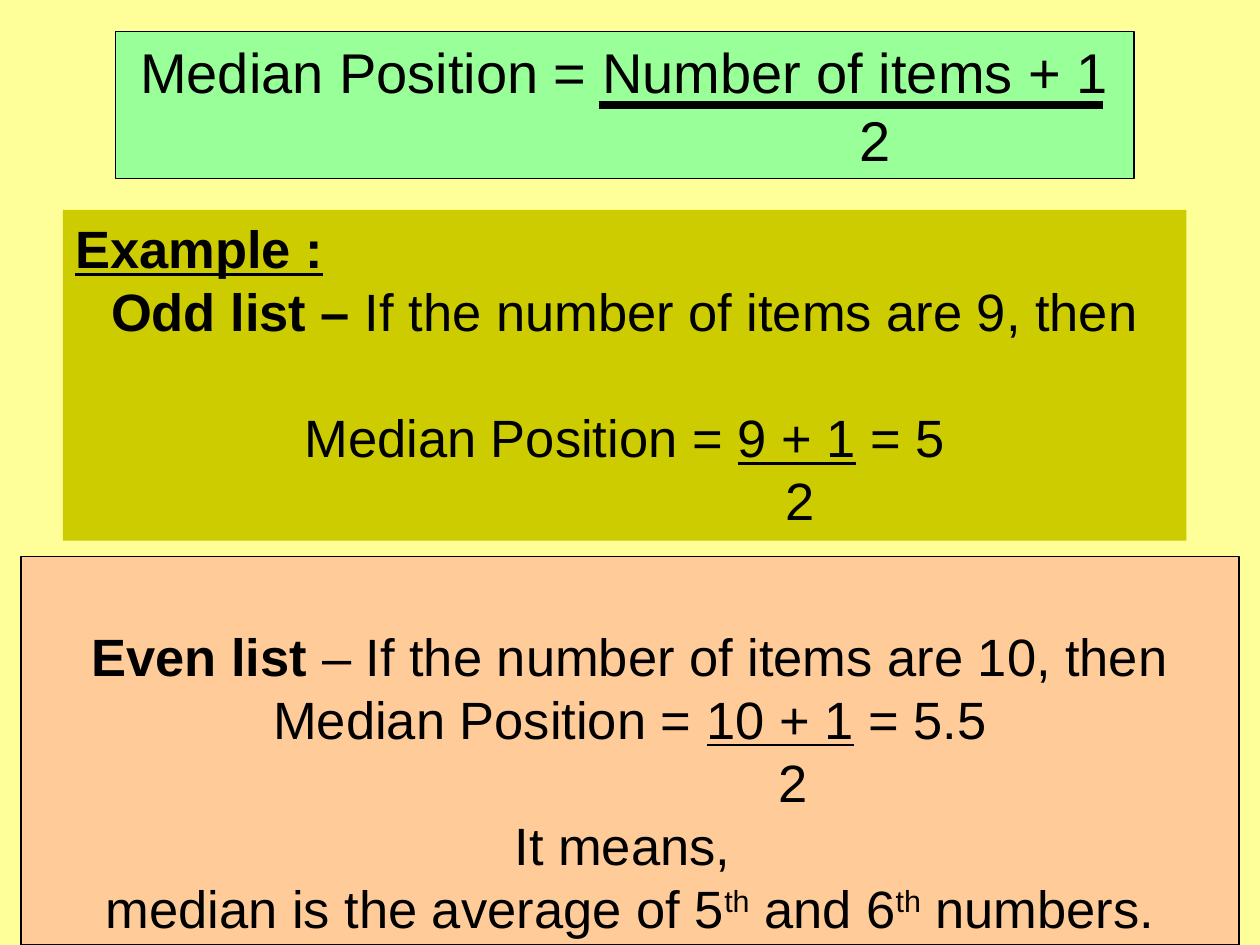
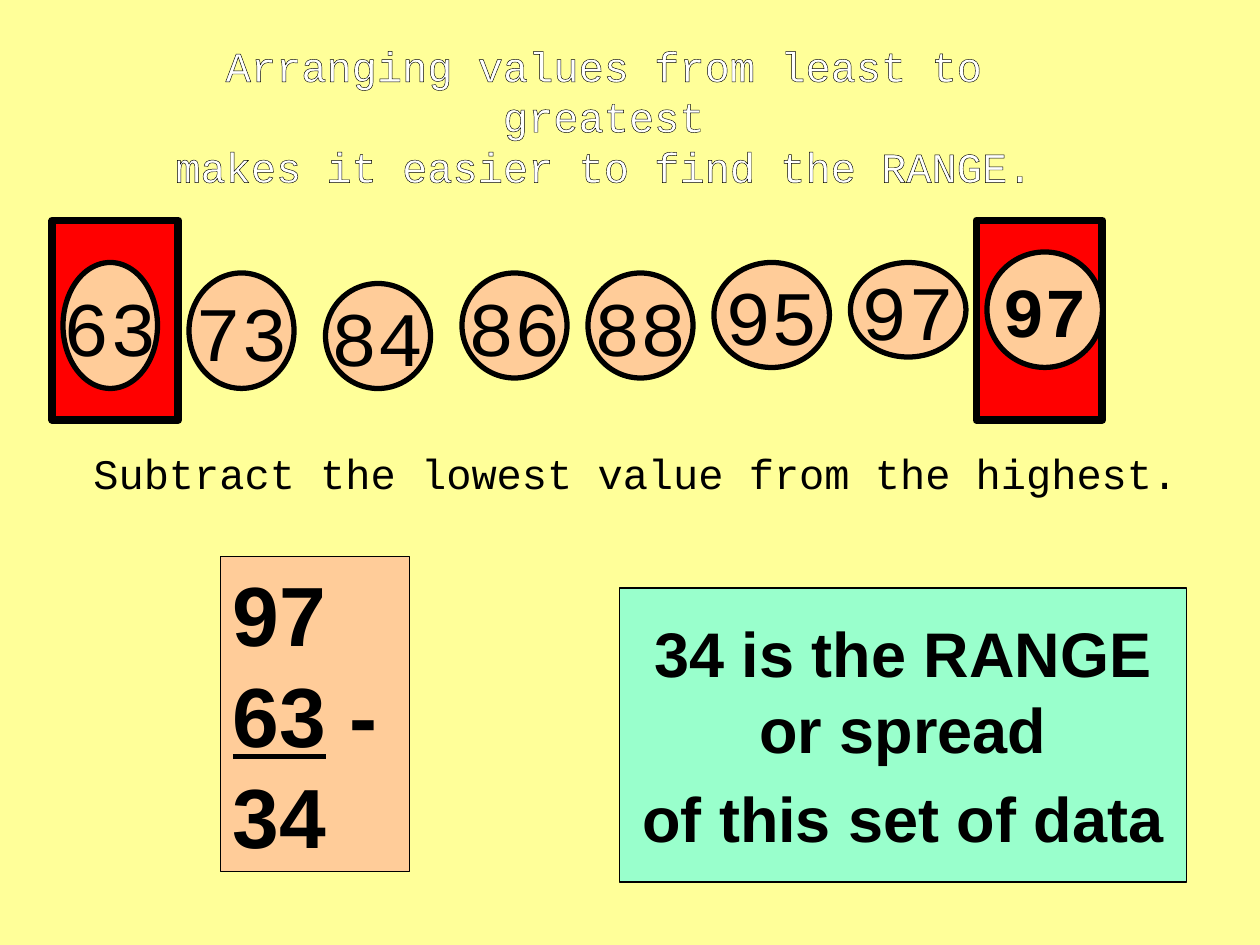
from dataclasses import dataclass

from lxml import etree
from pptx import Presentation
from pptx.dml.color import RGBColor
from pptx.enum.shapes import MSO_CONNECTOR, MSO_SHAPE
from pptx.enum.text import MSO_ANCHOR, PP_ALIGN
from pptx.oxml.ns import qn
from pptx.util import Inches, Pt

RECT, OVAL = MSO_SHAPE.RECTANGLE, MSO_SHAPE.OVAL
STRAIGHT = MSO_CONNECTOR.STRAIGHT
LEFT, CENTER = PP_ALIGN.LEFT, PP_ALIGN.CENTER
MIDDLE, TOP, BOTTOM = MSO_ANCHOR.MIDDLE, MSO_ANCHOR.TOP, MSO_ANCHOR.BOTTOM
COLS, ROWS = 120, 90


@dataclass(frozen=True)
class Theme:
    background: str = "FFFF99"
    ink: str = "000000"
    white: str = "FFFFFF"
    formula: str = "99FF99"
    example: str = "CCCC00"
    peach: str = "FFCC99"
    extreme: str = "FF0000"
    answer: str = "99FFCC"
    sans: str = "Arial"
    mono: str = "Courier New"
    caption: int = 24
    body: int = 30
    heading: int = 32
    result: int = 36
    bold_value: int = 40
    value: int = 44
    sum: int = 48
    thin: float = 0.75
    medium: float = 3
    thick: float = 4.5
    fraction: float = 5


@dataclass(frozen=True)
class Para:
    """Runs are (text, marks); marks are b bold, u underline, ^ superscript."""
    runs: tuple
    align: PP_ALIGN = CENTER
    before: float = 0
    indent: float = 0


def plain(text, marks="", **layout):
    return Para(((text, marks),), **layout)


class Deck:
    """Holds the theme and current slide; places are in grid columns and rows."""

    def __init__(self, theme):
        self.theme = theme
        self.prs = Presentation()
        self.prs.slide_width, self.prs.slide_height = Inches(10), Inches(7.5)
        self.s = None

    def slide(self):
        self.s = self.prs.slides.add_slide(self.prs.slide_layouts[6])
        fill = self.s.background.fill
        fill.solid()
        fill.fore_color.rgb = RGBColor.from_string(self.theme.background)

    def grid(self, *lengths):
        """Turn alternating columns and rows into slide lengths."""
        units = self.prs.slide_width / COLS, self.prs.slide_height / ROWS
        return [round(n * units[i % 2]) for i, n in enumerate(lengths)]

    def shape(self, kind, at, fill, line=None):
        sp = self.s.shapes.add_shape(kind, *self.grid(*at))
        sp.shadow.inherit = False
        sp.fill.solid()
        sp.fill.fore_color.rgb = RGBColor.from_string(fill)
        if line:
            sp.line.color.rgb = RGBColor.from_string(self.theme.ink)
            sp.line.width = Pt(line)
        else:
            sp.line.fill.background()
        return sp

    def set_text(self, sp, paras, size, font=None, color=None, anchor=MIDDLE,
                 wrap=True, outline=False):
        tf = sp.text_frame
        tf.word_wrap = wrap
        tf.vertical_anchor = anchor
        for i, para in enumerate(paras):
            p = tf.paragraphs[0] if i == 0 else tf.add_paragraph()
            p.alignment = para.align
            if para.before:
                p.space_before = Pt(para.before)
            if para.indent:
                p._p.get_or_add_pPr().set("marL", str(Inches(para.indent)))
            for text, marks in para.runs:
                r = p.add_run()
                r.text = text
                r.font.size = Pt(size)
                r.font.name = font or self.theme.sans
                r.font.bold = "b" in marks
                r.font.underline = "u" in marks
                r.font.color.rgb = RGBColor.from_string(color or self.theme.ink)
                if "^" in marks:
                    r._r.get_or_add_rPr().set("baseline", "30000")
                if outline:
                    self.outline(r)

    def outline(self, r):
        ln = etree.Element(qn("a:ln"), w=str(Pt(self.theme.thin)))
        fill = etree.SubElement(ln, qn("a:solidFill"))
        etree.SubElement(fill, qn("a:srgbClr"), val=self.theme.ink)
        r._r.get_or_add_rPr().insert(0, ln)

    def panel(self, at, fill, paras, size, line=None, anchor=MIDDLE):
        self.set_text(self.shape(RECT, at, fill, line), paras, size, anchor=anchor)

    def circle(self, at, number, size, marks=""):
        sp = self.shape(OVAL, at, self.theme.peach, self.theme.medium)
        self.set_text(sp, [plain(number, marks)], size, self.theme.mono, wrap=False)

    def caption(self, at, lines, color):
        sp = self.s.shapes.add_textbox(*self.grid(*at))
        self.set_text(sp, [plain(line) for line in lines], self.theme.caption,
                      self.theme.mono, color, wrap=False, outline=True)

    def line(self, ends, width):
        c = self.s.shapes.add_connector(STRAIGHT, *self.grid(*ends))
        c.line.color.rgb = RGBColor.from_string(self.theme.ink)
        c.line.width = Pt(width)
        etree.SubElement(c._element.spPr, qn("a:effectLst"))


def median_slide(deck):
    t = deck.theme
    deck.slide()
    deck.panel((11, 3, 97, 14), t.formula, [
        plain("Median Position = Number of items + 1"),
        plain("2", indent=3.98),
    ], t.heading, t.thin)
    deck.line((57, 10, 105, 10), t.fraction)
    deck.panel((2, 53, 116, 37), t.peach, [
        Para((("Even list ", "b"), ("– If the number of items are 10, then", ""))),
        Para((("Median Position = ", ""), ("10 + 1", "u"), (" = 5.5", ""))),
        plain("2", indent=2.59),
        plain("It means, "),
        Para((("median is the average of 5", ""), ("th", "^"), (" and 6", ""),
              ("th", "^"), (" numbers.", ""))),
    ], t.body, t.thin, BOTTOM)
    deck.panel((6, 20, 107, 31.5), t.example, [
        plain("Example :", "bu", align=LEFT),
        Para((("Odd list – ", "b"), ("If the number of items are 9, then", ""))),
        Para((("Median Position = ", ""), ("9 + 1", "u"), (" = 5", "")), before=36),
        plain("2", indent=2.78),
    ], t.body, anchor=TOP)


def range_slide(deck):
    t = deck.theme
    deck.slide()
    for left in (93, 5):
        deck.shape(RECT, (left, 21, 12, 19), t.extreme, t.thick)
    values = {
        (6, 25, 9, 12): "63",
        (18, 26, 10, 11): "73",
        (31, 27, 10, 10): "84",
        (44, 26, 10, 10): "86",
        (56, 26, 10, 10): "88",
        (68, 25, 11, 10): "95",
        (81, 25, 11, 9): "97",
    }
    for at, number in values.items():
        deck.circle(at, number, t.value)
    deck.circle((94, 24, 11, 11), "97", t.bold_value, "b")
    deck.caption((10, 5, 95, 12), ["Arranging values from least to greatest",
                                   "makes it easier to find the RANGE."], t.white)
    deck.caption((7, 42, 107, 6),
                 ["Subtract the lowest value from the highest. "], t.ink)
    deck.panel((21, 53, 18, 30), t.peach, [
        plain("97", "b", align=LEFT),
        Para((("63", "bu"), (" -", "b")), LEFT),
        plain("34", "b", align=LEFT),
    ], t.sum, t.thin)
    deck.panel((59, 56, 54, 28), t.answer, [
        plain("34 is the RANGE", "b"),
        plain("or spread", "b"),
        plain("of this set of data", "b", before=8),
    ], t.result, t.thin)


def main():
    deck = Deck(Theme())
    median_slide(deck)
    range_slide(deck)
    deck.prs.save("out.pptx")


if __name__ == "__main__":
    main()
